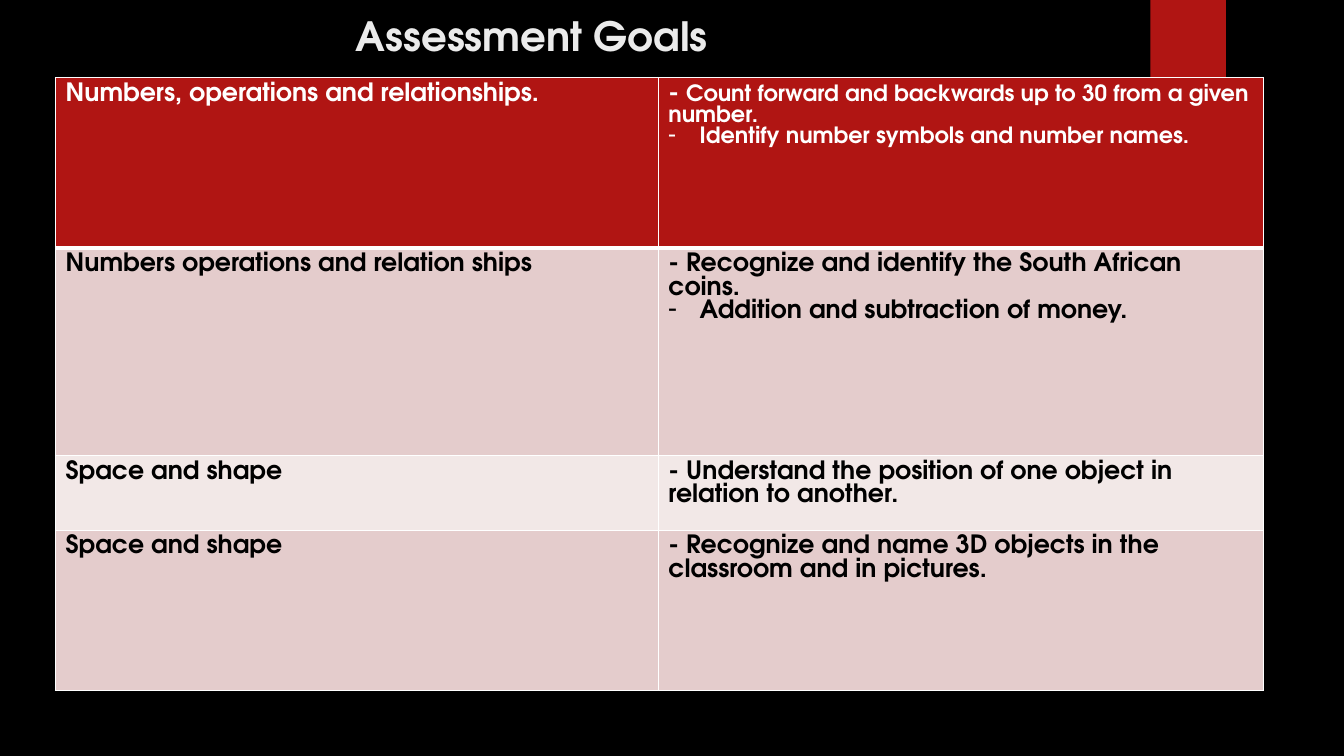
from dataclasses import dataclass

from lxml.etree import SubElement
from pptx import Presentation
from pptx.dml.color import RGBColor
from pptx.enum.shapes import MSO_SHAPE
from pptx.enum.text import MSO_ANCHOR, MSO_AUTO_SIZE, PP_ALIGN
from pptx.oxml import parse_xml
from pptx.oxml.ns import nsdecls, qn
from pptx.util import Inches, Pt

FONT = "TeX Gyre Adventor"
RED = "B01513"
WHITE = "FFFFFF"
BLACK = "000000"
DARK_BAND = "E4CCCC"
LIGHT_BAND = "F2E8E7"


@dataclass
class Goal:
    area: str
    skill: str
    height: float
    fill: str
    extra: str = ""
    color: str = BLACK
    skill_size: float = 18


GOALS = [
    Goal("Numbers, operations and relationships.",
         "Count forward and backwards up to 30 from a given number.",
         1.69, RED, "Identify number symbols and number names.", WHITE, 16),
    Goal("Numbers operations and relation ships",
         "Recognize and identify the South African coins.",
         2.06, DARK_BAND, "Addition and subtraction of money."),
    Goal("Space and shape",
         "Understand the position of one object in relation to another.",
         0.74, LIGHT_BAND),
    Goal("Space and shape",
         "Recognize and name 3D objects in the classroom and in pictures.",
         1.59, DARK_BAND),
]


def rgb(value: str) -> RGBColor:
    return RGBColor.from_string(value)


def write(paragraph, text: str, *, size: float = 18, color: str = BLACK) -> None:
    run = paragraph.add_run()
    run.text = text
    run.font.name = FONT
    run.font.size = Pt(size)
    run.font.bold = True
    run.font.color.rgb = rgb(color)


def add_dash(paragraph) -> None:
    properties = paragraph._p.get_or_add_pPr()
    properties.set("marL", str(Inches(0.31)))
    properties.set("indent", str(-Inches(0.31)))
    SubElement(properties, qn("a:buChar")).set("char", "-")


def set_borders(cell, top: float, bottom: float) -> None:
    properties = cell._tc.get_or_add_tcPr()
    widths = {"lnL": 1, "lnR": 1, "lnT": top, "lnB": bottom}
    for index, (side, width) in enumerate(widths.items()):
        properties.insert(index, parse_xml(
            f'<a:{side} {nsdecls("a")} w="{Pt(width)}"><a:solidFill>'
            f'<a:srgbClr val="{WHITE}"/></a:solidFill></a:{side}>'))


def add_goals(slide) -> None:
    table = slide.shapes.add_table(
        len(GOALS), 2, Inches(0.55), Inches(0.77), Inches(11.98), Inches(6.08)).table
    for column, width in zip(table.columns, (5.98, 6)):
        column.width = Inches(width)
    for index, goal in enumerate(GOALS):
        table.rows[index].height = Inches(goal.height)
        area, skills = table.cell(index, 0), table.cell(index, 1)
        for cell in (area, skills):
            cell.fill.solid()
            cell.fill.fore_color.rgb = rgb(goal.fill)
            set_borders(cell, 3 if index == 1 else 1, 3 if index == 0 else 1)
        write(area.text_frame.paragraphs[0], goal.area, color=goal.color)
        first = skills.text_frame.paragraphs[0]
        write(first, "- ", color=goal.color)
        write(first, goal.skill, size=goal.skill_size, color=goal.color)
        if goal.extra:
            second = skills.text_frame.add_paragraph()
            add_dash(second)
            write(second, goal.extra, size=goal.skill_size, color=goal.color)


def add_ribbon(slide) -> None:
    ribbon = slide.shapes.add_shape(
        MSO_SHAPE.RECTANGLE, Inches(11.41), 0, Inches(0.75), Inches(1.25))
    ribbon.shadow.inherit = False
    ribbon.fill.solid()
    ribbon.fill.fore_color.rgb = rgb(RED)
    ribbon.line.fill.background()


def add_title(slide) -> None:
    title = slide.shapes.title
    title.left, title.top = Inches(0.71), Inches(-0.28)
    title.width, title.height = Inches(10.29), Inches(0.92)
    frame = title.text_frame
    frame.auto_size = MSO_AUTO_SIZE.NONE
    frame.vertical_anchor = MSO_ANCHOR.BOTTOM
    frame.margin_left = Inches(2.82)
    heading = frame.paragraphs[0]
    heading.alignment = PP_ALIGN.LEFT
    write(heading, "Assessment Goals", size=28.8, color="EBEBEB")


def main() -> None:
    deck = Presentation()
    deck.slide_width, deck.slide_height = Inches(13.33), Inches(7.5)
    slide = deck.slides.add_slide(deck.slide_layouts[5])
    slide.background.fill.solid()
    slide.background.fill.fore_color.rgb = rgb(BLACK)
    add_ribbon(slide)
    add_title(slide)
    add_goals(slide)
    deck.save("out.pptx")


if __name__ == "__main__":
    main()
